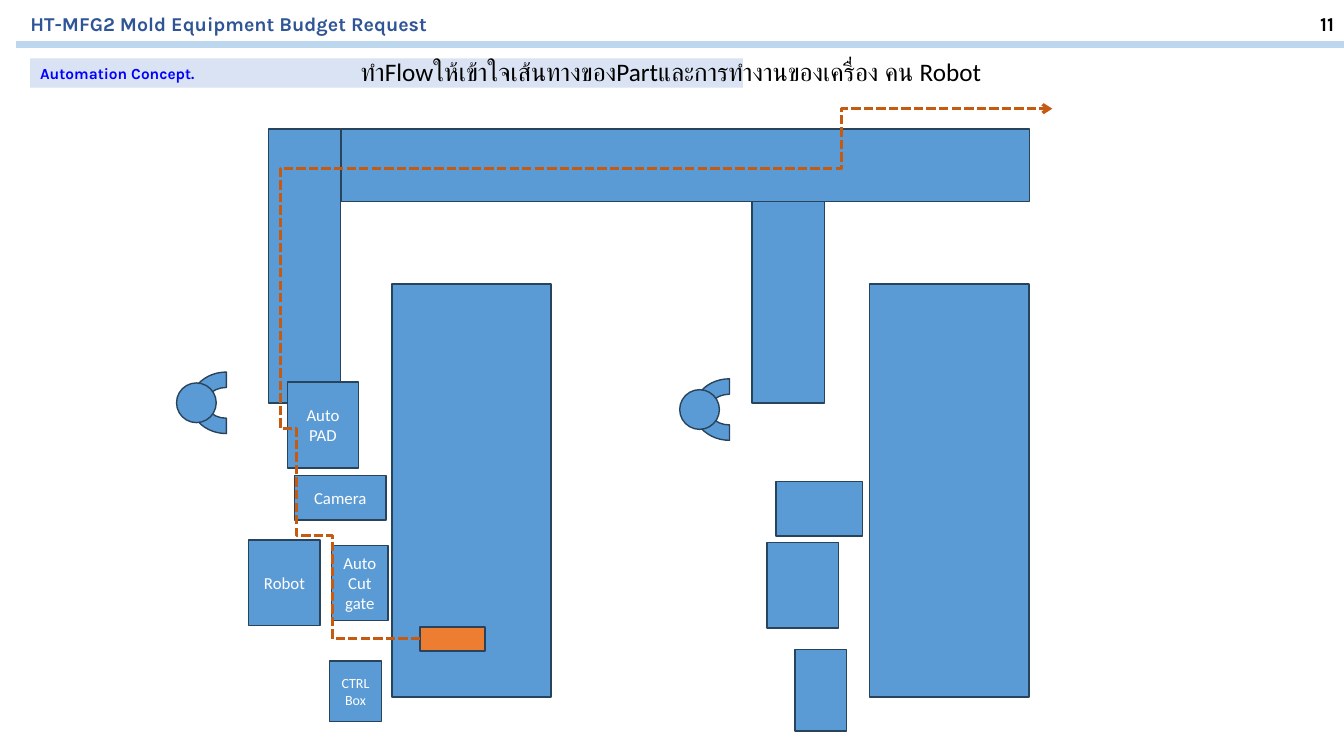
from dataclasses import dataclass

from lxml.etree import SubElement
from pptx import Presentation
from pptx.dml.color import RGBColor
from pptx.enum.dml import MSO_LINE
from pptx.enum.shapes import MSO_CONNECTOR, MSO_SHAPE
from pptx.enum.text import MSO_ANCHOR, MSO_AUTO_SIZE, PP_ALIGN
from pptx.oxml.ns import qn
from pptx.util import Cm, Pt


@dataclass(frozen=True)
class Theme:
    """Colours, fonts and type sizes of the slide."""
    equipment: str = "5B9BD5"
    outline: str = "28445D"
    workpiece: str = "ED7D31"
    route: str = "C55A11"
    rule: str = "BDD7EE"
    band: str = "DAE3F3"
    title: str = "2F5597"
    subtitle: str = "0000FF"
    dark: str = "000000"
    light: str = "FFFFFF"
    heading_font: str = "Karla"
    body_font: str = "Calibri"
    heading_size: int = 14
    subtitle_size: int = 11
    note_size: int = 18
    label_size: int = 12
    small_size: int = 10


THEME = Theme()


def colour(value):
    """Turn a hex value into a colour."""
    return RGBColor.from_string(value)


def write(shape, lines, size, ink, font=THEME.body_font, bold=False, align=PP_ALIGN.LEFT):
    """Fill a shape with one formatted run per line."""
    frame = shape.text_frame
    frame.word_wrap = True
    frame.auto_size = MSO_AUTO_SIZE.NONE
    frame.vertical_anchor = MSO_ANCHOR.MIDDLE
    for index, line in enumerate(lines):
        paragraph = frame.add_paragraph() if index else frame.paragraphs[0]
        paragraph.alignment = align
        run = paragraph.add_run()
        run.text = line
        run.font.name = font
        run.font.size = Pt(size)
        run.font.bold = bold
        run.font.color.rgb = colour(ink)


def place(shape, left, top, width, height):
    """Move and size a shape, in centimetres."""
    shape.left, shape.top = Cm(left), Cm(top)
    shape.width, shape.height = Cm(width), Cm(height)


def add_block(slide, box, fill=THEME.equipment, preset=MSO_SHAPE.RECTANGLE, outlined=True):
    """Add a flat preset shape in a box given in centimetres."""
    shape = slide.shapes.add_shape(preset, *map(Cm, box))
    shape.shadow.inherit = False
    shape.fill.solid()
    shape.fill.fore_color.rgb = colour(fill)
    if outlined:
        shape.line.color.rgb = colour(THEME.outline)
        shape.line.width = Pt(1)
    else:
        shape.line.fill.background()
    return shape


def add_equipment(slide, box, lines=(), size=THEME.label_size):
    """Add a piece of equipment with its optional centred label."""
    shape = add_block(slide, box)
    if lines:
        write(shape, lines, size, THEME.light, align=PP_ALIGN.CENTER)


def add_operator(slide, left, top):
    """Add an operator seen from above, with the head at the given corner."""
    arms = add_block(slide, (left + 0.48, top - 0.4, 1.55, 1.8), preset=MSO_SHAPE.BLOCK_ARC)
    arms.rotation = 270
    add_block(slide, (left, top, 1, 1), preset=MSO_SHAPE.OVAL)


def add_header(slide, left, top, width):
    """Add the title, page number and rule across the given width."""
    title = slide.shapes.title
    place(title, left + 0.1, top, 23.42, 0.88)
    write(title, ["HT-MFG2 Mold Equipment Budget Request"], THEME.heading_size,
          THEME.title, THEME.heading_font, True)
    number = slide.shapes.add_textbox(Cm(left + width - 2.08), Cm(top), Cm(2.08), Cm(0.88))
    write(number, ["11"], THEME.heading_size, THEME.dark, THEME.heading_font, True, PP_ALIGN.RIGHT)
    rule_top = Cm(top + 0.97)
    rule = slide.shapes.add_connector(MSO_CONNECTOR.STRAIGHT, Cm(left), rule_top,
                                      Cm(left + width), rule_top)
    rule.line.color.rgb = colour(THEME.rule)
    rule.line.width = Pt(4.5)
    SubElement(rule.element.spPr, qn("a:effectLst"))


def add_subtitle(slide, left, top, width, height):
    """Add the subtitle band and the note that runs over it."""
    band = add_block(slide, (left, top, width, height), THEME.band, outlined=False)
    write(band, ["Automation Concept."], THEME.subtitle_size, THEME.subtitle,
          THEME.heading_font, True)
    note = slide.shapes.add_textbox(Cm(left + 8.08), Cm(top - 0.17), Cm(20), Cm(1.02))
    write(note, ["ทำFlowให้เข้าใจเส้นทางของPartและการทำงานของเครื่อง คน Robot"],
          THEME.note_size, THEME.dark)


def add_conveyors(slide, left, top, belt=1.83):
    """Add the main conveyor and its two branches."""
    add_equipment(slide, (left, top, belt, 6.91))
    add_equipment(slide, (left + belt, top, 17.35, belt))
    add_equipment(slide, (left + 12.19, top + belt, belt, 5.08))


def add_machine(slide, left, top):
    """Add a moulding machine."""
    add_equipment(slide, (left, top, 4.01, 10.41))


def add_labelled_cell(slide, left, top):
    """Add the first cell, relative to the corner of its machine."""
    equipment = [
        ((-1.57, 9.5, 1.3, 1.52), ["CTRL Box"], THEME.small_size),
        ((-3.61, 6.45, 1.8, 2.16), ["Robot"], THEME.label_size),
        ((-2.64, 2.47, 1.8, 2.16), ["Auto PAD"], THEME.label_size),
        ((-2.46, 4.83, 2.31, 1.12), ["Camera"], THEME.label_size),
        ((-1.52, 6.58, 1.42, 1.9), ["Auto", "Cut", "gate"], THEME.label_size),
    ]
    for (across, down, width, height), lines, size in equipment:
        add_equipment(slide, (left + across, top + down, width, height), lines, size)
    add_block(slide, (left + 0.71, top + 8.64, 1.63, 0.61), THEME.workpiece)


def add_plain_cell(slide, left, top):
    """Add the second cell, relative to the corner of its machine."""
    equipment = [(-1.88, 9.2, 1.3, 2.06), (-2.59, 6.51, 1.8, 2.16), (-2.36, 4.98, 2.18, 1.37)]
    for across, down, width, height in equipment:
        add_equipment(slide, (left + across, top + down, width, height))


def add_route(slide, left, top, steps):
    """Add the dashed workpiece route as alternating horizontal and vertical steps."""
    points = []
    across, down = left, top
    for index, step in enumerate(steps):
        if index % 2:
            down += step
        else:
            across += step
        points.append((Cm(across), Cm(down)))
    builder = slide.shapes.build_freeform(Cm(left), Cm(top))
    builder.add_line_segments(points, close=False)
    route = builder.convert_to_shape()
    route.shadow.inherit = False
    route.fill.background()
    route.line.color.rgb = colour(THEME.route)
    route.line.width = Pt(2.25)
    route.line.dash_style = MSO_LINE.SQUARE_DOT
    SubElement(route.element.spPr.find(qn("a:ln")), qn("a:tailEnd"), type="arrow")


def add_floor_plan(slide, left, top):
    """Add the floor plan, relative to the corner of the main conveyor."""
    first, second, machine_top = left + 3.12, left + 15.16, top + 3.91
    add_machine(slide, first, machine_top)
    add_machine(slide, second, machine_top)
    add_conveyors(slide, left, top)
    add_labelled_cell(slide, first, machine_top)
    add_plain_cell(slide, second, machine_top)
    add_operator(slide, left - 2.31, top + 6.4)
    add_operator(slide, left + 10.37, top + 6.57)
    add_route(slide, left + 3.83, top + 12.85,
              [-2.21, -2.61, -0.91, -2.69, -0.41, -6.56, 14.15, -1.5, 5.31])


def main():
    """Build and save the slide."""
    presentation = Presentation()
    presentation.slide_width, presentation.slide_height = Cm(33.87), Cm(19.05)
    slide = presentation.slides.add_slide(presentation.slide_layouts[5])
    add_header(slide, 0.41, 0.15, 33.46)
    add_floor_plan(slide, 6.76, 3.25)
    add_subtitle(slide, 0.76, 1.47, 17.96, 0.74)
    presentation.save("out.pptx")


if __name__ == "__main__":
    main()
